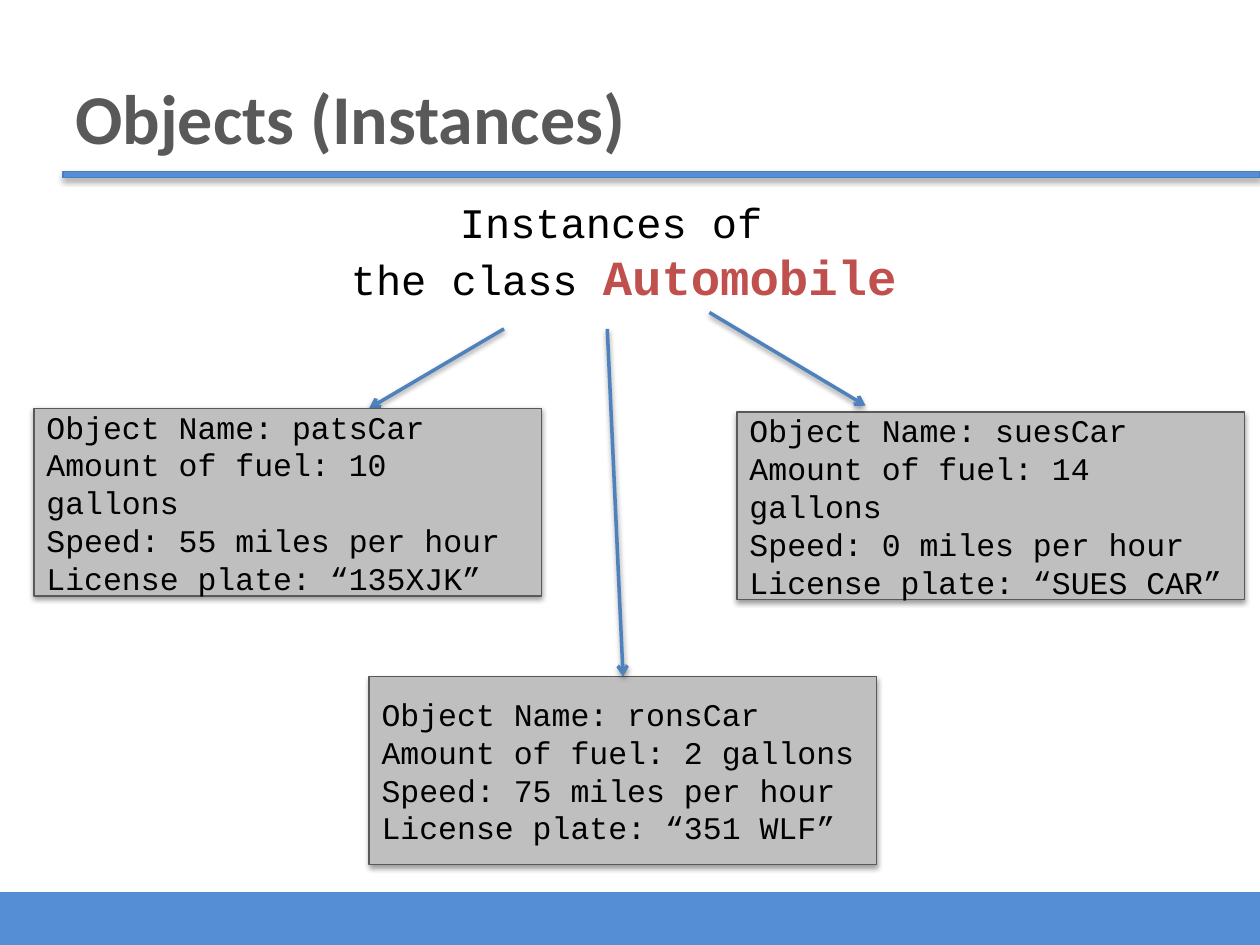
import lxml.etree
import pptx
import pptx.dml.color
import pptx.enum.shapes
import pptx.enum.text
import pptx.oxml
import pptx.oxml.ns
import pptx.util

Inches = pptx.util.Inches
Pt = pptx.util.Pt
BLUE, GRAY, MONO = "558ED5", "595959", "Courier New"
CARS = [
    (0.27, 3.24, "patsCar", "10", "55", "135XJK"),
    (5.85, 3.27, "suesCar", "14", "0", "SUES CAR"),
    (2.93, 5.37, "ronsCar", "2", "75", "351 WLF"),
]


def rgb(value):
    """Return the colour for a hex string."""
    return pptx.dml.color.RGBColor.from_string(value)


def add_shadow(sp, alpha=38, dist=1.6):
    """Give a shape or connector a soft shadow straight below it."""
    ns = pptx.oxml.ns.nsdecls("a")
    sp._element.spPr.append(pptx.oxml.parse_xml(
        f'<a:effectLst {ns}><a:outerShdw blurRad="{Pt(3.1)}" dist="{Pt(dist)}" '
        'dir="5400000" rotWithShape="0"><a:srgbClr val="000000">'
        f'<a:alpha val="{alpha * 1000}"/></a:srgbClr></a:outerShdw></a:effectLst>'))


def add_rect(s, x, y, w, h, fill, line=None):
    """Add a filled rectangle, outlined when a line colour is given."""
    sp = s.shapes.add_shape(pptx.enum.shapes.MSO_SHAPE.RECTANGLE,
                            Inches(x), Inches(y), Inches(w), Inches(h))
    sp.fill.solid()
    sp.fill.fore_color.rgb = rgb(fill)
    if line:
        sp.line.color.rgb = rgb(line)
        sp.line.width = Pt(0.75)
    else:
        sp.line.fill.background()
        sp.shadow.inherit = False
    return sp


def add_run(p, text, size, color="000000", font=MONO, bold=False):
    """Append one formatted run to a paragraph."""
    r = p.add_run()
    r.text = text
    r.font.size, r.font.name, r.font.bold = Pt(size), font, bold
    r.font.color.rgb = rgb(color)


def add_text(s, x, y, w, h):
    """Add a wrapping text box and return its text frame."""
    tf = s.shapes.add_textbox(Inches(x), Inches(y), Inches(w), Inches(h)).text_frame
    tf.word_wrap = True
    return tf


def add_frame(s, w, h):
    """Draw the footer band and the rule below the title."""
    add_rect(s, 0, h - 0.42, w, 0.42, BLUE)
    add_shadow(add_rect(s, 0.5, 1.36, w - 0.5, 0.05, BLUE, "4B7EBC"), 35, 1.8)


def add_title(s, x, y, w, h):
    """Write the slide title."""
    tf = add_text(s, x, y, w, h)
    tf.margin_top = Inches(0.08)
    add_run(tf.paragraphs[0], "Objects (Instances)", 40, GRAY, "Calibri", True)


def add_heading(s, x, y, w, h):
    """Write the centred class heading."""
    p = add_text(s, x, y, w, h).paragraphs[0]
    p.alignment = pptx.enum.text.PP_ALIGN.CENTER
    p.space_before = Pt(5)
    add_run(p, "Instances of ", 24)
    p.add_line_break()
    add_run(p, "the class ", 24)
    add_run(p, "Automobile", 28, "C0504D", bold=True)


def add_car(s, x, y, name, fuel, speed, plate):
    """Add the box that lists the state of one car."""
    sp = add_rect(s, x, y, 4.03, 1.49, "BFBFBF", GRAY)
    add_shadow(sp)
    tf = sp.text_frame
    tf.word_wrap = True
    tf.vertical_anchor = pptx.enum.text.MSO_ANCHOR.MIDDLE
    lines = [f"Object Name: {name}", f"Amount of fuel: {fuel} gallons",
             f"Speed: {speed} miles per hour", f"License plate: “{plate}”"]
    for i, line in enumerate(lines):
        p = tf.add_paragraph() if i else tf.paragraphs[0]
        p.alignment = pptx.enum.text.PP_ALIGN.LEFT
        add_run(p, line, 18)
    return sp


def add_arrow(s, x1, y1, x2, y2):
    """Add an arrow from the heading towards a car."""
    c = s.shapes.add_connector(pptx.enum.shapes.MSO_CONNECTOR.STRAIGHT,
                               Inches(x1), Inches(y1), Inches(x2), Inches(y2))
    c.line.color.rgb = rgb("4F81BD")
    c.line.width = Pt(2)
    ln = c.line._get_or_add_ln()
    lxml.etree.SubElement(ln, pptx.oxml.ns.qn("a:tailEnd"), type="arrow")
    add_shadow(c)
    return c


def main():
    """Build the slide and save it."""
    prs = pptx.Presentation()
    prs.slide_width, prs.slide_height = Inches(10), Inches(7.5)
    s = prs.slides.add_slide(prs.slide_layouts[6])
    add_frame(s, 10, 7.5)
    add_title(s, 0.5, 0.51, 9, 0.98)
    add_heading(s, 2.43, 1.51, 5.04, 0.98)
    add_arrow(s, 4, 2.61, 2.93, 3.24)
    pats, sues, rons = [add_car(s, *car) for car in CARS]
    add_arrow(s, 5.63, 2.48, 6.87, 3.22)
    add_arrow(s, 4.82, 2.61, 4.95, 5.37).end_connect(rons, 0)
    prs.save("out.pptx")


if __name__ == "__main__":
    main()
